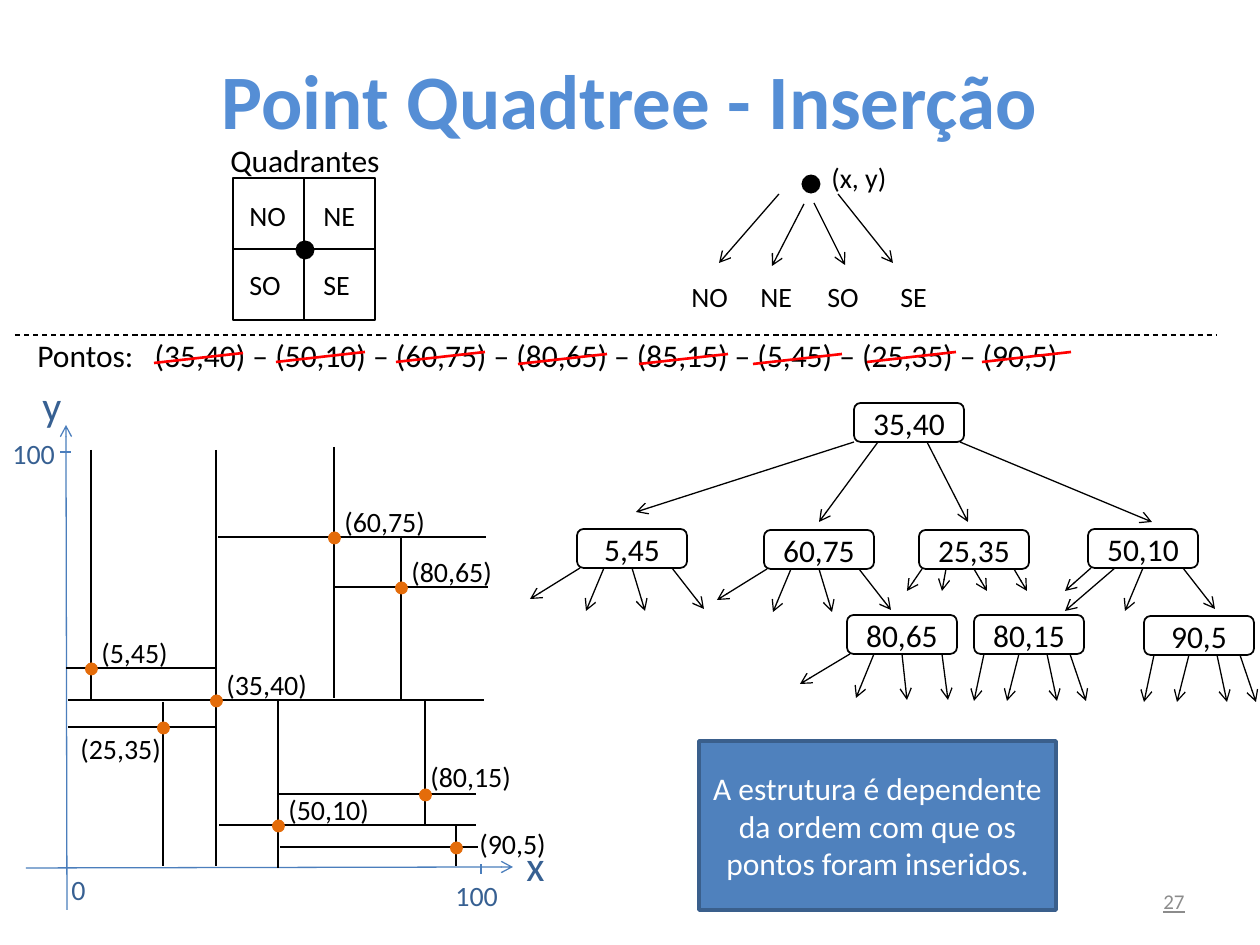
from lxml import etree
from pptx import Presentation
from pptx.dml.color import RGBColor
from pptx.enum.dml import MSO_LINE
from pptx.enum.shapes import MSO_CONNECTOR, MSO_SHAPE
from pptx.enum.text import MSO_ANCHOR as ANCHOR, MSO_AUTO_SIZE, PP_ALIGN as ALIGN
from pptx.oxml.ns import qn
from pptx.util import Inches, Pt

PX = Inches(1) / 126
FONT = "Calibri"
BLACK, WHITE, RED = "000000", "FFFFFF", "FF0000"
AXIS, AXIS_TEXT, DOT = "4B7EBC", "376092", "E46C0A"
NODE_W, NODE_H = 110, 39

# Point label: dividing x with its y range, dividing y with its x range, label offset
ABOVE = (-2, -39)
POINTS = [
    ("(35,40)", 216, (450, 866), 700, (68, 484), ABOVE),
    ("(50,10)", 278, (700, 868), 825, (219, 476), ABOVE),
    ("(60,75)", 334, (447, 698), 537, (218, 486), ABOVE),
    ("(80,65)", 401, (538, 700), 587, (334, 488), ABOVE),
    ("(80,15)", 425, (700, 824), 794, (277, 476), (-7, -41)),
    ("(5,45)", 91, (450, 700), 668, (66, 215), ABOVE),
    ("(25,35)", 163, (702, 866), 727, (68, 217), (-95, -2)),
    ("(90,5)", 456, (825, 866), 847, (280, 478), (11, -27)),
]

# Arrow tips and starts are measured from the top left of their node
EVEN, SPLAYED = (3, 27, 55, 95), (10, 45, 73, 96)
FAN = [(-47, 70), (9, 82), (68, 82), (127, 80)]
LEAF_FAN = [(0, 86), (33, 86), (83, 86), (112, 86)]
NODES = [
    ("35,40", 854, 403, (0, 24, 73, 106), [(-218, 109), (-35, 119), (114, 119), (298, 119)]),
    ("5,45", 577, 529, EVEN, FAN),
    ("60,75", 764, 530, EVEN, FAN),
    ("25,35", 919, 530, EVEN, [(-12, 61), (23, 61), (68, 61), (108, 61)]),
    ("50,10", 1088, 529, EVEN, [(-23, 62), (-23, 82), (37, 82), (127, 80)]),
    ("80,65", 847, 615, EVEN, [(-47, 69), (9, 83), (60, 85), (101, 85)]),
    ("80,15", 974, 615, SPLAYED, LEAF_FAN),
    ("90,5", 1144, 616, SPLAYED, LEAF_FAN),
]

STRIKES = [(154, 363), (276, 362), (396, 362), (518, 364),
           (639, 364), (753, 364), (867, 362), (982, 362)]


def px(value):
    return round(value * PX)


def rgb(value):
    return RGBColor.from_string(value)


def write(frame, text, size=16, color=BLACK, bold=False, underline=False,
          align=ALIGN.LEFT, anchor=ANCHOR.TOP, wrap=False):
    frame.word_wrap = wrap
    frame.vertical_anchor = anchor
    para = frame.paragraphs[0]
    para.alignment = align
    span = para.add_run()
    span.text = text
    font = span.font
    font.name, font.size, font.bold = FONT, Pt(size), bold
    font.underline = underline
    font.color.rgb = rgb(color)


def add_text(page, text, left, top, width, height, **style):
    box = page.shapes.add_textbox(px(left), px(top), px(width), px(height))
    write(box.text_frame, text, **style)
    if not style.get("wrap"):
        box.text_frame.auto_size = MSO_AUTO_SIZE.SHAPE_TO_FIT_TEXT
    return box


def add_box(page, kind, left, top, width, height, fill=WHITE, line=BLACK, weight=1):
    box = page.shapes.add_shape(kind, px(left), px(top), px(width), px(height))
    box.shadow.inherit = False
    box.fill.solid()
    box.fill.fore_color.rgb = rgb(fill)
    if line:
        box.line.color.rgb = rgb(line)
        box.line.width = Pt(weight)
    else:
        box.line.fill.background()
    return box


def add_dot(page, x, y, size, color):
    add_box(page, MSO_SHAPE.OVAL, x - size / 2, y - size / 2, size, size, color, None)


def add_line(page, x1, y1, x2, y2, color=BLACK, weight=0.75, arrow=False, dash=None):
    line = page.shapes.add_connector(MSO_CONNECTOR.STRAIGHT, px(x1), px(y1), px(x2), px(y2))
    line.line.color.rgb = rgb(color)
    line.line.width = Pt(weight)
    if dash:
        line.line.dash_style = dash
    if arrow:
        etree.SubElement(line.line._get_or_add_ln(), qn("a:tailEnd"), type="arrow")
    etree.SubElement(line._element.spPr, qn("a:effectLst"))
    return line


def add_quadrants(page):
    add_text(page, "Quadrantes", 218, 135, 176, 50, size=18)
    square = add_box(page, MSO_SHAPE.RECTANGLE, 233, 178, 142, 142)
    for ends, first, last in [((233, 249, 375, 249), 1, 3), ((304, 178, 304, 320), 0, 2)]:
        line = add_line(page, *ends)
        line.begin_connect(square, first)
        line.end_connect(square, last)
    for text, left, top, width in [("NO", 237, 192, 63), ("NE", 311, 192, 58),
                                   ("SO", 237, 261, 57), ("SE", 311, 261, 53)]:
        add_text(page, text, left, top, width, 47)
    add_dot(page, 305, 250, 19, BLACK)


def add_child_order(page):
    add_dot(page, 811, 184, 19, BLACK)
    add_text(page, "(x, y)", 819, 154, 81, 47)
    for text, left, width, ends in [("NO", 679, 63, (779, 194, 719, 263)),
                                    ("NE", 748, 58, (804, 204, 772, 266)),
                                    ("SO", 815, 57, (814, 203, 845, 265)),
                                    ("SE", 888, 53, (838, 194, 893, 263))]:
        add_text(page, text, left, 273, width, 47)
        add_line(page, *ends, arrow=True)


def add_axes(page):
    add_line(page, 67, 910, 66, 425, AXIS, arrow=True)
    add_line(page, 26, 868, 513, 867, AXIS, arrow=True)
    add_line(page, 71, 452, 60, 452, AXIS)
    add_line(page, 481, 874, 481, 864, AXIS)
    for text, left, top, width, height, size in [
            ("y", 30, 373, 47, 63, 24), ("x", 514, 833, 44, 63, 24),
            ("100", 0, 430, 68, 47, 16), ("0", 59, 866, 40, 47, 16),
            ("100", 443, 872, 68, 47, 16)]:
        add_text(page, text, left, top, width, height, size=size, color=AXIS_TEXT)


def add_point(page, text, x, rows, y, columns, offset):
    add_line(page, x, rows[0], x, rows[1])
    add_line(page, columns[0], y, columns[1], y)
    add_text(page, text, x + offset[0], y + offset[1], 107 if len(text) > 6 else 93, 47)
    add_dot(page, x + 0.5, y + 1, 13, DOT)


def add_node(page, text, left, top, starts, tips):
    node = add_box(page, MSO_SHAPE.ROUNDED_RECTANGLE, left, top, NODE_W, NODE_H)
    write(node.text_frame, text, size=18, align=ALIGN.CENTER, anchor=ANCHOR.MIDDLE, wrap=True)
    for start, (dx, dy) in zip(starts, tips):
        add_line(page, left + start, top + NODE_H, left + dx, top + dy, arrow=True)


def main():
    deck = Presentation()
    deck.slide_width, deck.slide_height = Inches(10), Inches(7.5)
    page = deck.slides.add_slide(deck.slide_layouts[6])

    # Heading and legends
    add_text(page, "Point Quadtree - Inserção", 63, 20, 1134, 158, size=44, color="558ED5",
             bold=True, align=ALIGN.CENTER, anchor=ANCHOR.MIDDLE, wrap=True)
    add_quadrants(page)
    add_child_order(page)
    add_line(page, 15, 335, 1216, 335, dash=MSO_LINE.DASH)

    # List of inserted points, each one struck out
    add_text(page, "Pontos:   (35,40) – (50,10) – (60,75) – (80,65) – (85,15) – (5,45) – "
             "(25,35) – (90,5)", 25, 330, 1061, 50, size=18)
    for x, y in STRIKES:
        add_line(page, x, y, x + 89, y - 10, RED, 1.5)

    # Divided plane
    add_axes(page)
    for point in POINTS:
        add_point(page, *point)

    # Tree
    for node in NODES:
        add_node(page, *node)

    # Conclusion and page number
    note = add_box(page, MSO_SHAPE.RECTANGLE, 699, 741, 357, 169, "4F81BD", "3A5F8C", 2)
    write(note.text_frame, "A estrutura é dependente da ordem com que os pontos foram inseridos.",
          size=18, color=WHITE, align=ALIGN.CENTER, anchor=ANCHOR.MIDDLE, wrap=True)
    add_text(page, "27", 903, 876, 294, 50, size=12, color="8C8C8C", underline=True,
             align=ALIGN.RIGHT, anchor=ANCHOR.MIDDLE, wrap=True)

    deck.save("out.pptx")


if __name__ == "__main__":
    main()
